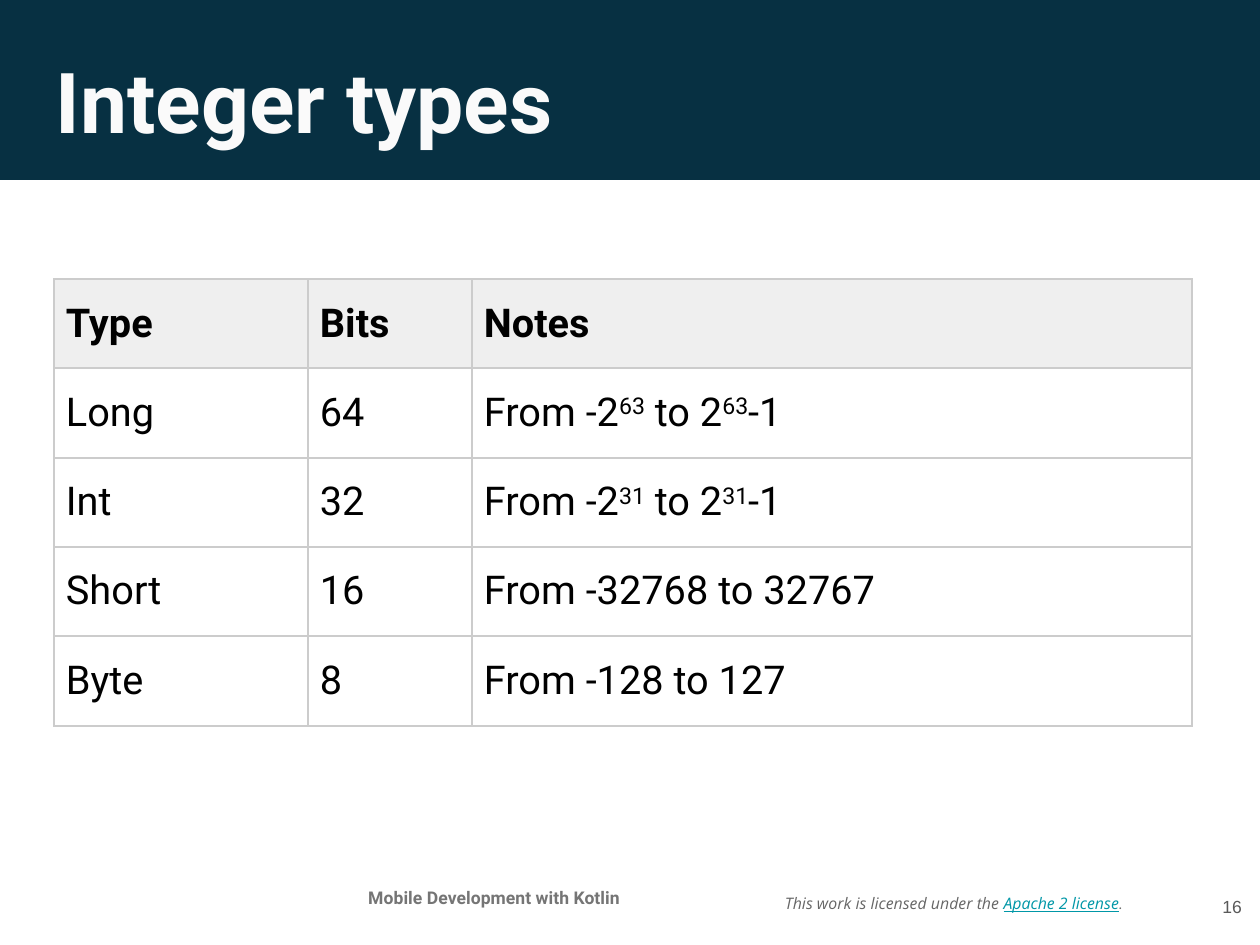
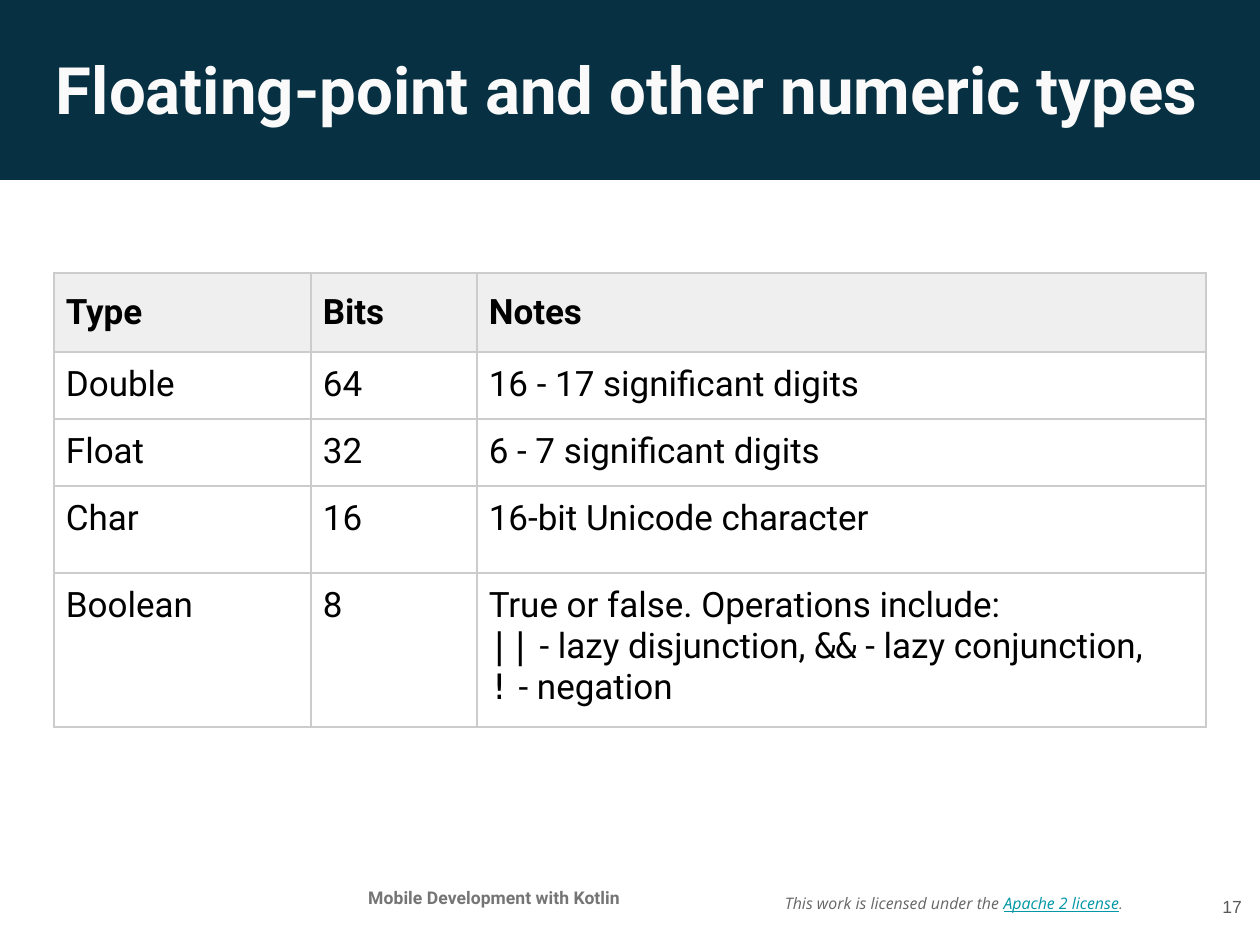
from lxml import etree
from pptx import Presentation
from pptx.dml.color import RGBColor
from pptx.enum.shapes import MSO_SHAPE
from pptx.enum.text import MSO_ANCHOR, MSO_AUTO_SIZE, PP_ALIGN
from pptx.oxml.ns import qn
from pptx.util import Emu, Pt

RECT = MSO_SHAPE.RECTANGLE
TOP, MIDDLE = MSO_ANCHOR.TOP, MSO_ANCHOR.MIDDLE
LEFT, MID, RIGHT = PP_ALIGN.LEFT, PP_ALIGN.CENTER, PP_ALIGN.RIGHT
NO_FIT = MSO_AUTO_SIZE.NONE

NAVY = RGBColor(0x07, 0x30, 0x42)
PALE = RGBColor(0xFA, 0xFA, 0xFA)
BLACK = RGBColor(0x00, 0x00, 0x00)
TEAL = RGBColor(0x00, 0x97, 0xA7)
GRAY = RGBColor(0x66, 0x66, 0x66)
SILVER = RGBColor(0x75, 0x75, 0x75)
SLATE = RGBColor(0x59, 0x59, 0x59)
RULE = RGBColor(0xCC, 0xCC, 0xCC)
HEAD = RGBColor(0xEF, 0xEF, 0xEF)

WIDE, HIGH = 1260, 945
PAD = 12
TITLE = {"name": "Roboto", "bold": True, "rgb": PALE}
CELL = {"name": "Roboto", "bold": False, "rgb": BLACK}
COURSE = {"name": "Roboto", "size": Pt(7.5), "bold": True, "rgb": SILVER}
NOTE = {"name": "Open Sans", "size": Pt(6.8), "italic": True, "rgb": GRAY}
LINK = {"rgb": TEAL, "underline": True}
PAGE = {"name": "Arial", "size": Pt(7.5), "rgb": SLATE}
CODE = {"name": "DejaVu Sans Mono"}
SUPER = {"base": 30000}


def px(num):
    return Emu(round(num * 914400 / 168))


def scale(box):
    return [px(num) for num in box]


def style(run, form):
    for key, value in form.items():
        if key == "rgb":
            run.font.color.rgb = value
        elif key == "base":
            run._r.get_or_add_rPr().set("baseline", str(value))
        else:
            setattr(run.font, key, value)


def write(frame, lines, form, align=LEFT):
    for i, line in enumerate(lines):
        para = frame.paragraphs[0] if i == 0 else frame.add_paragraph()
        para.alignment = align
        for part in [line] if isinstance(line, str) else line:
            text, extra = (part, {}) if isinstance(part, str) else part
            run = para.add_run()
            run.text = text
            style(run, {**form, **extra})


def inset(area):
    for side in ("left", "top", "right", "bottom"):
        setattr(area, f"margin_{side}", px(PAD))


def set_frame(frame, anchor):
    inset(frame)
    form = {"word_wrap": True, "auto_size": NO_FIT, "vertical_anchor": anchor}
    for key, value in form.items():
        setattr(frame, key, value)


def add_text(slide, box, lines, form, align=LEFT, anchor=TOP):
    shape = slide.shapes.add_textbox(*scale(box))
    set_frame(shape.text_frame, anchor)
    write(shape.text_frame, lines, form, align)
    return shape


def add_band(slide, box):
    band = slide.shapes.add_shape(RECT, *scale(box))
    band.shadow.inherit = False
    band.fill.solid()
    band.fill.fore_color.rgb = NAVY
    band.line.fill.background()
    return band


def add_frame(slide):
    note = ["This work is licensed under the ", ("Apache 2 license", LINK),
            (".", {"name": "Roboto"})]
    parts = [
        add_text(slide, (773, 864, 370, 79), [note], NOTE, anchor=MIDDLE),
        add_band(slide, (0, 0, WIDE, 180)),
        add_text(slide, (316, 875, 356, 54),
                 ["Mobile Development with Kotlin"], COURSE, MID),
    ]
    for part in parts:
        slide.slide_layout.shapes.element.append(part.element)


def add_title(slide, box, text, size):
    title = slide.shapes.title
    for key, value in zip(("left", "top", "width", "height"), scale(box)):
        setattr(title, key, value)
    set_frame(title.text_frame, TOP)
    write(title.text_frame, [text], {**TITLE, "size": Pt(size)})
    title.text_frame.paragraphs[0].line_spacing = 1.06


def add_edges(cell):
    props = cell._tc.get_or_add_tcPr()
    for side in ("lnL", "lnR", "lnT", "lnB"):
        line = etree.SubElement(props, qn(f"a:{side}"), w=str(Pt(0.75)))
        fill = etree.SubElement(line, qn("a:solidFill"))
        etree.SubElement(fill, qn("a:srgbClr"), val=str(RULE))


def add_grid(slide, left, top, cols, rows, data, size, anchor):
    box = (left, top, sum(cols), sum(rows))
    grid = slide.shapes.add_table(len(rows), len(cols), *scale(box)).table
    grid.first_row = grid.horz_banding = False
    for col, wide in zip(grid.columns, cols):
        col.width = px(wide)
    for row, high in zip(grid.rows, rows):
        row.height = px(high)
    for i, items in enumerate([["Type", "Bits", "Notes"], *data]):
        for j, item in enumerate(items):
            cell = grid.cell(i, j)
            inset(cell)
            cell.vertical_anchor = anchor if i else MIDDLE
            add_edges(cell)
            if i:
                cell.fill.background()
            else:
                cell.fill.solid()
                cell.fill.fore_color.rgb = HEAD
            lines = [item] if isinstance(item, str) else item
            form = {**CELL, "size": Pt(size), "bold": i == 0}
            write(cell.text_frame, lines, form)


def power(num):
    high = (num, SUPER)
    return [["From -2", high, " to 2", high, "-1"]]


WHOLE = [
    ["Long", "64", power("63")],
    ["Int", "32", power("31")],
    ["Short", "16", "From -32768 to 32767"],
    ["Byte", "8", "From -128 to 127"],
]
OTHER = [
    ["Double", "64", "16 - 17 significant digits"],
    ["Float", "32", "6 - 7 significant digits"],
    ["Char", "16", "16-bit Unicode character"],
    ["Boolean", "8", [
        "True or false. Operations include:",
        [("||", CODE), " - lazy disjunction, ", ("&&", CODE),
         " - lazy conjunction,"],
        [("!", CODE), " - negation"],
    ]],
]
SLIDES = [
    ("Integer types", 36, 16, {
        "top": 279, "cols": (254, 164, 720), "rows": (89, 90, 89, 89, 90),
        "data": WHOLE, "size": 17, "anchor": MIDDLE}),
    ("Floating-point and other numeric types", 28, 17, {
        "top": 273, "cols": (257, 166, 729), "rows": (79, 67, 67, 87, 154),
        "data": OTHER, "size": 15, "anchor": TOP}),
]


def main():
    deck = Presentation()
    deck.slide_width, deck.slide_height = px(WIDE), px(HIGH)
    layout = deck.slide_layouts[5]
    for i, (text, size, page, grid) in enumerate(SLIDES):
        slide = deck.slides.add_slide(layout)
        if i == 0:
            add_frame(slide)
        add_title(slide, (44, 32, 1174, 106), text, size)
        add_text(slide, (1178, 870, 76, 72), [str(page)], PAGE, RIGHT, MIDDLE)
        add_grid(slide, 54, **grid)
    deck.save("out.pptx")


if __name__ == "__main__":
    main()
